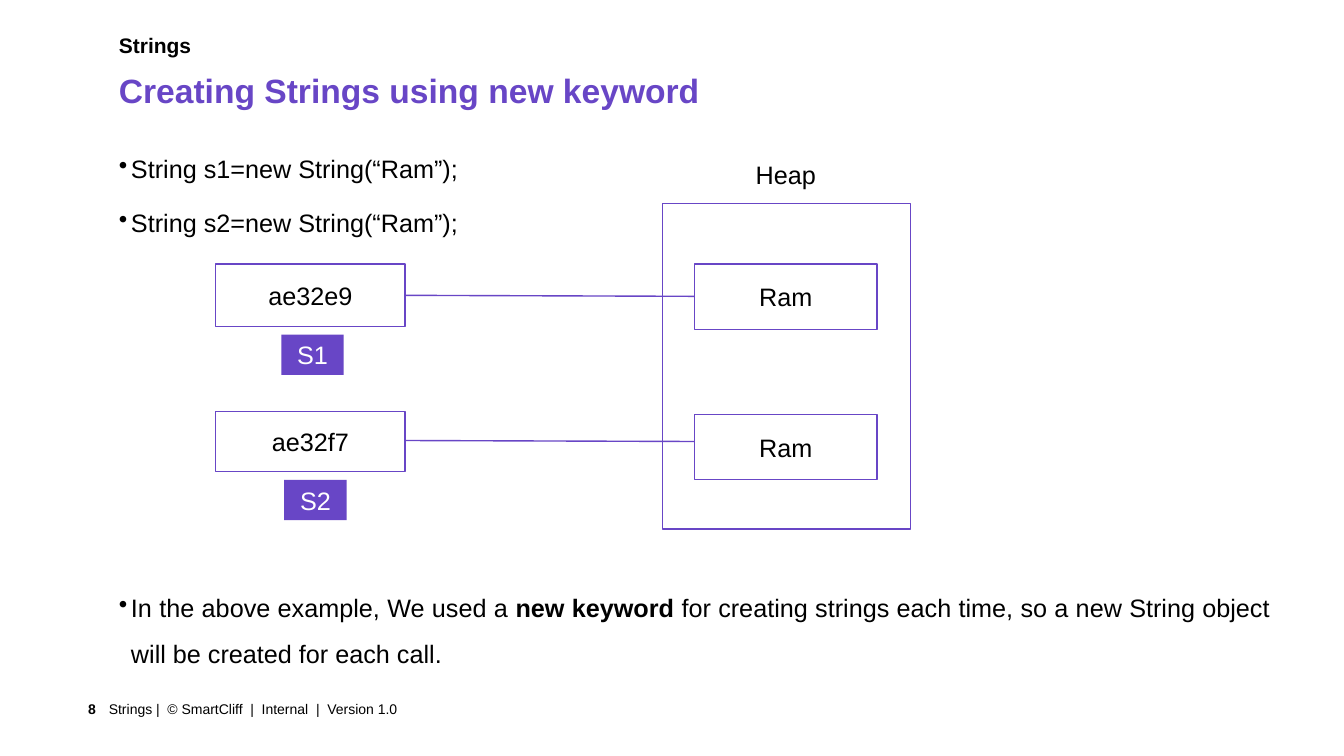
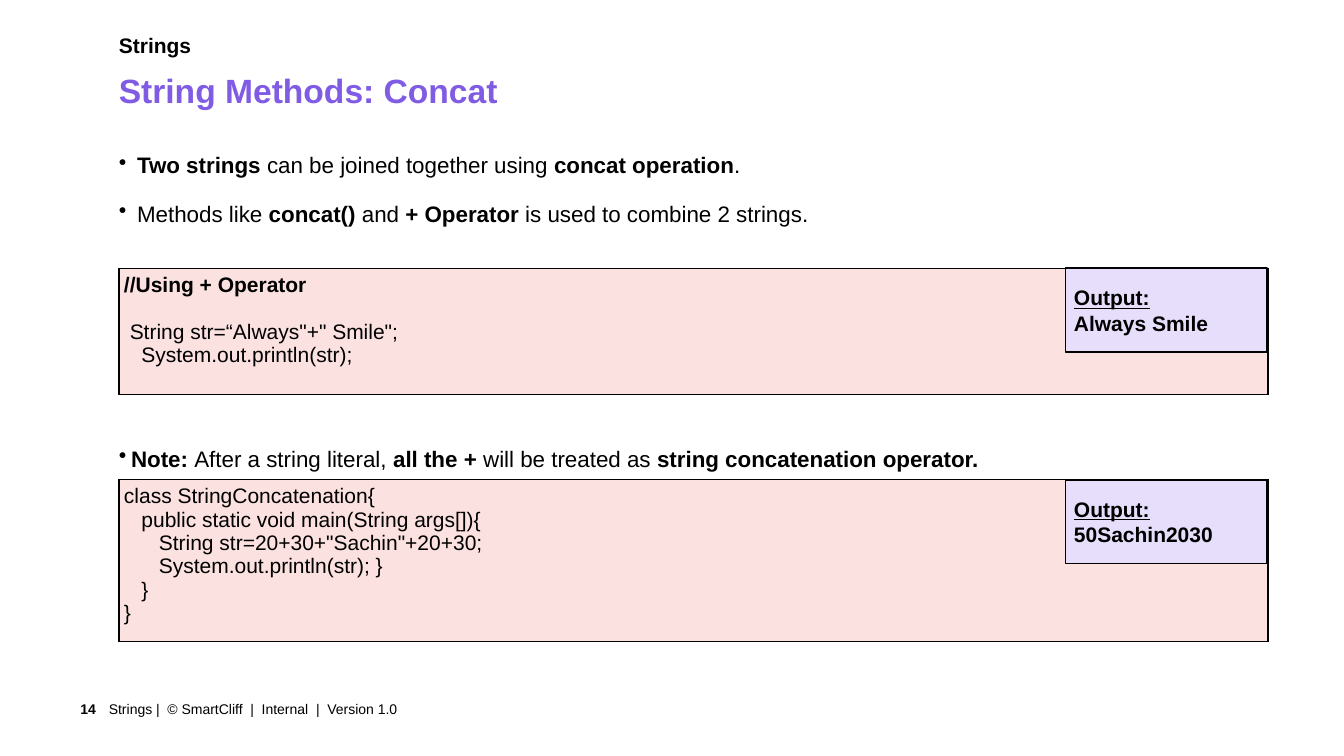
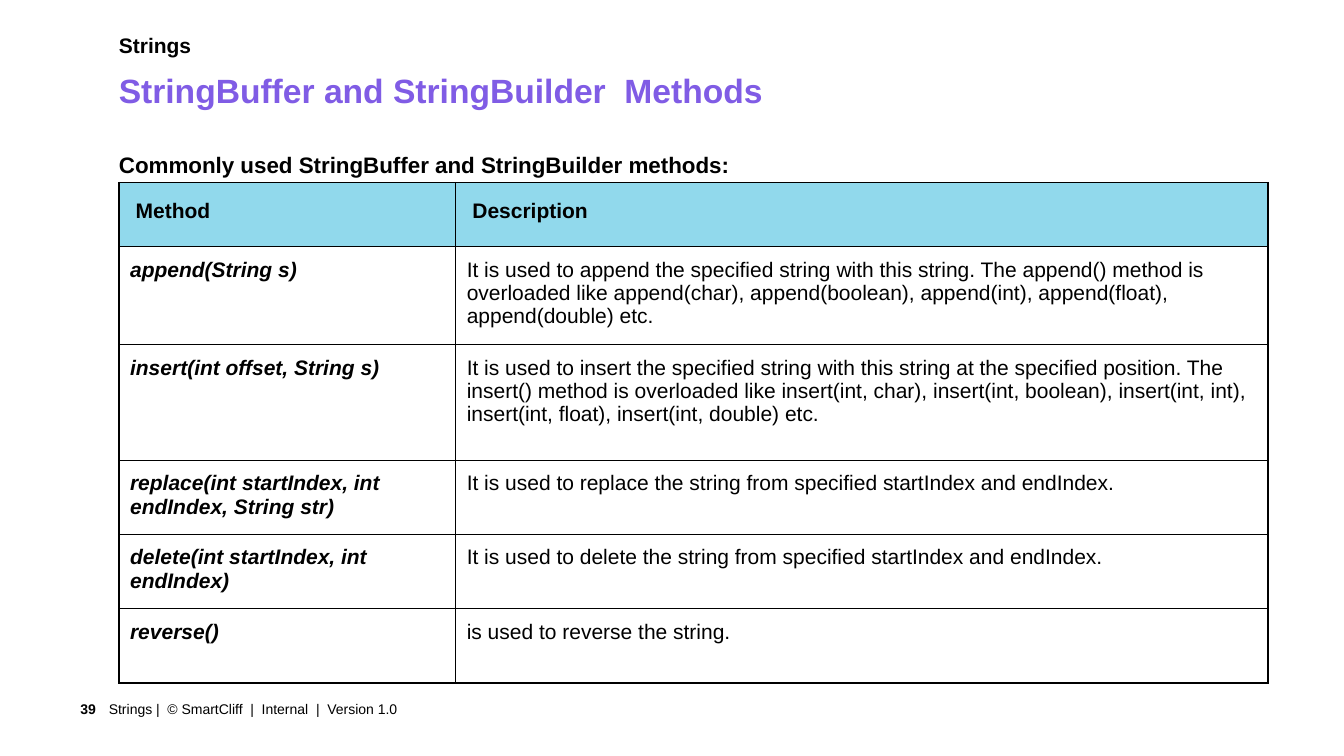
"""Build three slides of a lesson on Java strings."""
from lxml.etree import SubElement, fromstring
from pptx import Presentation
from pptx.dml.color import RGBColor
from pptx.enum.shapes import MSO_CONNECTOR, MSO_SHAPE
from pptx.enum.text import MSO_ANCHOR, PP_ALIGN
from pptx.oxml.ns import nsdecls, qn
from pptx.util import Inches, Pt

BLACK = RGBColor(0x00, 0x00, 0x00)
WHITE = RGBColor(0xFF, 0xFF, 0xFF)
PURPLE = RGBColor(0x68, 0x46, 0xC6)
VIOLET = RGBColor(0x80, 0x5C, 0xE5)
LAVENDER = RGBColor(0xE6, 0xDE, 0xFA)
PINK = RGBColor(0xFB, 0xE2, 0xE0)
SKY = RGBColor(0x91, 0xD9, 0xEC)
FONT = "Arial"

deck = Presentation()
deck.slide_width = Inches(13.33)
deck.slide_height = Inches(7.5)
COL = deck.slide_width / 100
ROW = deck.slide_height / 100
LEFT, BODY_TOP, BODY_WIDTH, TABLE_WIDTH = 8.85, 18.27, 85.65, 85.5
FOOTER_TOP, FOOTER_HEIGHT = 91.73, 4.13


def add_box(slide, left, top, width, height, fill=None, line=None, insets=(0, 0, 0, 0)):
    """Add a text box, or a rectangle if a colour is given, and return its text frame."""
    area = (int(left * COL), int(top * ROW), int(width * COL), int(height * ROW))
    if fill is None and line is None:
        box = slide.shapes.add_textbox(*area)
    else:
        box = slide.shapes.add_shape(MSO_SHAPE.RECTANGLE, *area)
        box.shadow.inherit = False
        if fill is None:
            box.fill.background()
        else:
            box.fill.solid()
            box.fill.fore_color.rgb = fill
        if line is None:
            box.line.fill.background()
        else:
            box.line.color.rgb = line
            box.line.width = Pt(1)
        box.text_frame.vertical_anchor = MSO_ANCHOR.MIDDLE
    frame = box.text_frame
    frame.word_wrap = True
    frame.margin_left, frame.margin_top, frame.margin_right, frame.margin_bottom = map(Pt, insets)
    return frame


def write(frame, lines, size, color=BLACK, bold=False, italic=False,
          align=PP_ALIGN.LEFT, spacing=None, hang=None):
    """Write lines into a frame; text between double asterisks is bold."""
    for number, line in enumerate(lines):
        paragraph = frame.add_paragraph() if number else frame.paragraphs[0]
        paragraph.alignment = align
        if spacing:
            paragraph.line_spacing = spacing
            paragraph.space_before = Pt(6 if number else 0)
        if hang:
            properties = paragraph._p.get_or_add_pPr()
            properties.set("marL", str(Inches(hang)))
            properties.set("indent", str(-Inches(hang)))
            SubElement(properties, qn("a:buChar")).set("char", "•")
        for part, words in enumerate(line.split("**")):
            if words:
                run = paragraph.add_run()
                run.text = words
                run.font.name = FONT
                run.font.size = Pt(size)
                run.font.color.rgb = color
                run.font.bold = bold or part % 2 == 1
                run.font.italic = italic


pages = [
    (8, "Creating Strings using new keyword", PURPLE),
    (14, "String Methods: Concat", VIOLET),
    (39, "StringBuffer and StringBuilder  Methods", VIOLET),
]
for page, title, title_color in pages:
    slide = deck.slides.add_slide(deck.slide_layouts[6])
    write(add_box(slide, LEFT, 4.27, 89.55, 5.47), ["Strings"], 15, bold=True)
    heading = add_box(slide, 8.1, 8.53, 89.55, 5.6, insets=(7.2, 3.6, 7.2, 3.6))
    write(heading, [title], 24, title_color, bold=True)
    page_number = add_box(slide, 3.15, FOOTER_TOP, 4.88, FOOTER_HEIGHT, insets=(7.2, 3.6, 8.64, 3.6))
    write(page_number, [str(page)], 10, bold=True, align=PP_ALIGN.RIGHT)
    footer = add_box(slide, 8.1, FOOTER_TOP, 70.2, FOOTER_HEIGHT, insets=(0, 3.6, 7.2, 3.6))
    write(footer, ["Strings |  © SmartCliff  |  Internal  |  Version 1.0"], 10)
    page_number.vertical_anchor = footer.vertical_anchor = MSO_ANCHOR.MIDDLE

keyword_slide, concat_slide, methods_slide = deck.slides

statements = ["String s1=new String(“Ram”);", "String s2=new String(“Ram”);"]
explanation = ["In the above example, We used a **new keyword **for creating strings each time, "
               "so a new String object will be created for each call."]
for top, height, bullets in [(BODY_TOP, 13.73, statements), (76.4, 12.8, explanation)]:
    write(add_box(keyword_slide, LEFT, top, BODY_WIDTH, height), bullets, 18,
          align=PP_ALIGN.JUSTIFY, spacing=1.5, hang=0.12)

heap_label = add_box(keyword_slide, 33.45, 20.4, 50.03, 5.33, insets=(7.2, 3.6, 7.2, 3.6))
write(heap_label, ["Heap"], 18, align=PP_ALIGN.CENTER)
add_box(keyword_slide, 49.28, 26.93, 18.45, 43.07, line=PURPLE)

ADDRESS_LEFT, ADDRESS_WIDTH, OBJECT_LEFT = 16.05, 14.1, 51.68
references = [
    ("ae32e9", 34.93, 8.27, "S1", 20.93, 44.27, 34.93, 39.07),
    ("ae32f7", 54.4, 8, "S2", 21.15, 63.47, 54.8, 58.27),
]
for address, address_top, address_height, name, name_left, name_top, object_top, link_top in references:
    cells = [
        (address, ADDRESS_LEFT, address_top, ADDRESS_WIDTH, address_height, None, PURPLE, BLACK),
        (name, name_left, name_top, 4.65, 5.33, PURPLE, None, WHITE),
        ("Ram", OBJECT_LEFT, object_top, 13.58, 8.67, None, PURPLE, BLACK),
    ]
    for label, left, top, width, height, fill, line, color in cells:
        frame = add_box(keyword_slide, left, top, width, height, fill, line, (6, 6, 6, 6))
        write(frame, [label], 18, color, align=PP_ALIGN.CENTER)
    link = keyword_slide.shapes.add_connector(
        MSO_CONNECTOR.STRAIGHT, int((ADDRESS_LEFT + ADDRESS_WIDTH) * COL), int(link_top * ROW),
        int(OBJECT_LEFT * COL), int((link_top + 0.13) * ROW))
    link.line.color.rgb = PURPLE
    link.line.width = Pt(1)
    SubElement(link._element.spPr, qn("a:effectLst"))

joining = ["**Two strings** can be joined together using **concat operation**.",
           "Methods like **concat()** and **+ Operator** is used to combine 2 strings."]
note = ["**Note: **After a string literal, **all the + **will be treated as "
        "**string concatenation operator.**"]
for top, height, bullets, hang in [(BODY_TOP, 13.73, joining, 0.18), (57.07, 5.33, note, 0.12)]:
    write(add_box(concat_slide, LEFT, top, TABLE_WIDTH, height), bullets, 16,
          align=PP_ALIGN.JUSTIFY, spacing=1.5, hang=hang)

tables = []
plus_code = ["**//Using + Operator**", ' String str=“Always"+" Smile";', "   System.out.println(str);"]
class_code = [
    "class StringConcatenation{",
    "   public static void main(String args[]){",
    '      String str=20+30+"Sachin"+20+30;',
    "      System.out.println(str); }",
    "   }",
    "}",
]
listings = [(35.47, 16.67, plus_code, "Always Smile"), (63.47, 19.87, class_code, "50Sachin2030")]
for top, height, code, result in listings:
    listing = concat_slide.shapes.add_table(
        1, 1, int(LEFT * COL), int(top * ROW), int(TABLE_WIDTH * COL), int(height * ROW)).table
    tables.append(listing)
    cell = listing.cell(0, 0)
    cell.fill.solid()
    cell.fill.fore_color.rgb = PINK
    cell.margin_left = cell.margin_top = cell.margin_right = cell.margin_bottom = Pt(3.6)
    write(cell.text_frame, code, 15)
    output = add_box(concat_slide, 79.28, top, 15, 11.07, LAVENDER, BLACK, (6, 6, 6, 6))
    write(output, ["Output:", result], 15, bold=True)
    output.paragraphs[0].runs[0].font.underline = True
tables[0].cell(0, 0).text_frame.paragraphs[1].space_before = Pt(17)

write(add_box(methods_slide, LEFT, BODY_TOP, TABLE_WIDTH, 5.33),
      ["Commonly used StringBuffer and StringBuilder methods:"], 16, bold=True, spacing=1.5)
methods = [
    ("Method", "Description", 8.53),
    ("append(String s)",
     "It is used to append the specified string with this string. The append() method is overloaded "
     "like append(char), append(boolean), append(int), append(float), append(double) etc.", 12.13),
    ("insert(int offset, String s)",
     "It is used to insert the specified string with this string at the specified position. The "
     "insert() method is overloaded like insert(int, char), insert(int, boolean), insert(int, int), "
     "insert(int, float), insert(int, double) etc.", 15.33),
    ("replace(int startIndex, int endIndex, String str)",
     "It is used to replace the string from specified startIndex and endIndex.", 9.8),
    ("delete(int startIndex, int endIndex)",
     "It is used to delete the string from specified startIndex and endIndex.", 9.8),
    ("reverse()", "is used to reverse the string.", 9.8),
]
reference = methods_slide.shapes.add_table(
    len(methods), 2, int(LEFT * COL), int(24.13 * ROW), int(TABLE_WIDTH * COL),
    int(sum(height for *_, height in methods) * ROW)).table
tables.append(reference)
for column, width in zip(reference.columns, (25.05, 60.45)):
    column.width = int(width * COL)
for row, (*entries, height) in enumerate(methods):
    reference.rows[row].height = int(height * ROW)
    for column, entry in enumerate(entries):
        cell = reference.cell(row, column)
        header = row == 0
        signature = not header and column == 0
        cell.fill.solid()
        cell.fill.fore_color.rgb = SKY if header else WHITE
        inset = Pt(12 if header else 8)
        cell.margin_left = cell.margin_top = cell.margin_right = cell.margin_bottom = inset
        write(cell.text_frame, [entry], 15, bold=header or signature, italic=signature)

for table in tables:
    table.first_row = table.horz_banding = False
    for cell in table.iter_cells():
        properties = cell._tc.get_or_add_tcPr()
        for position, side in enumerate(("lnL", "lnR", "lnT", "lnB")):
            border = fromstring(
                f'<a:{side} {nsdecls("a")} w="{Pt(1)}"><a:solidFill>'
                f'<a:srgbClr val="{BLACK}"/></a:solidFill></a:{side}>')
            properties.insert(position, border)

deck.save("out.pptx")
